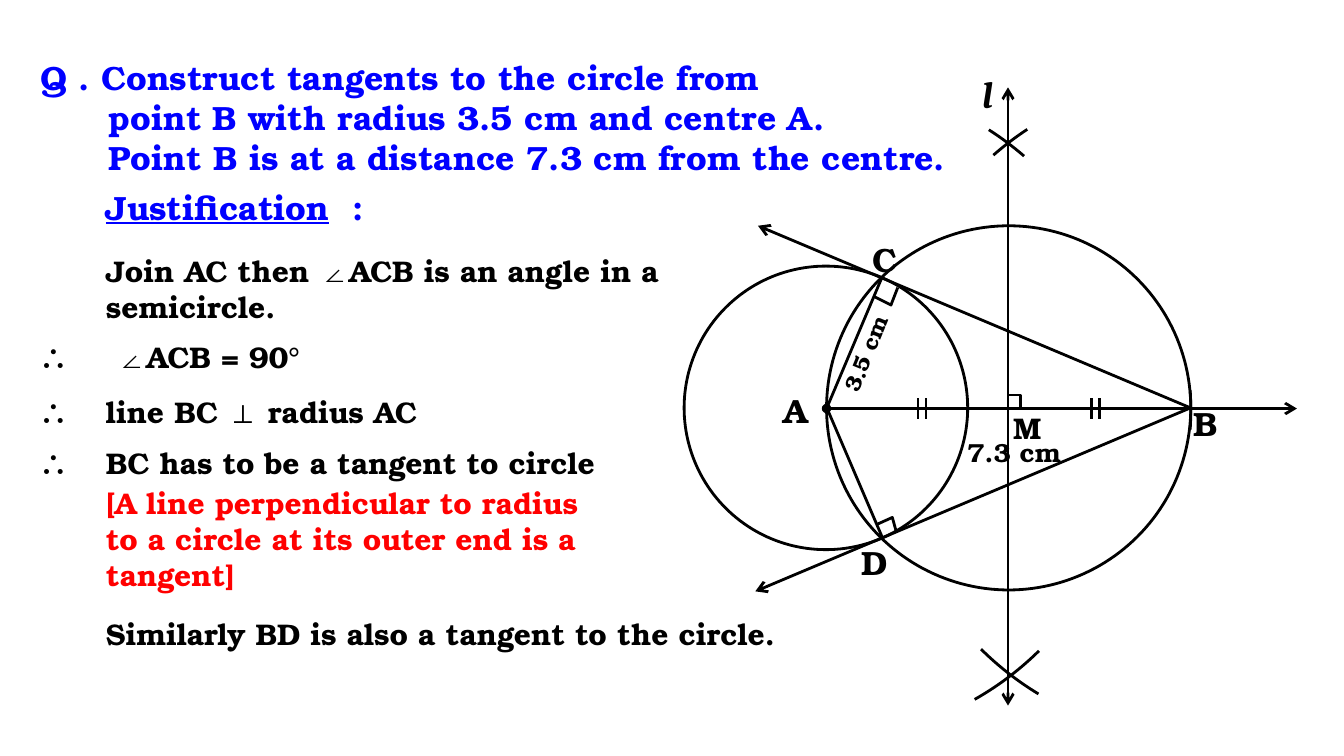
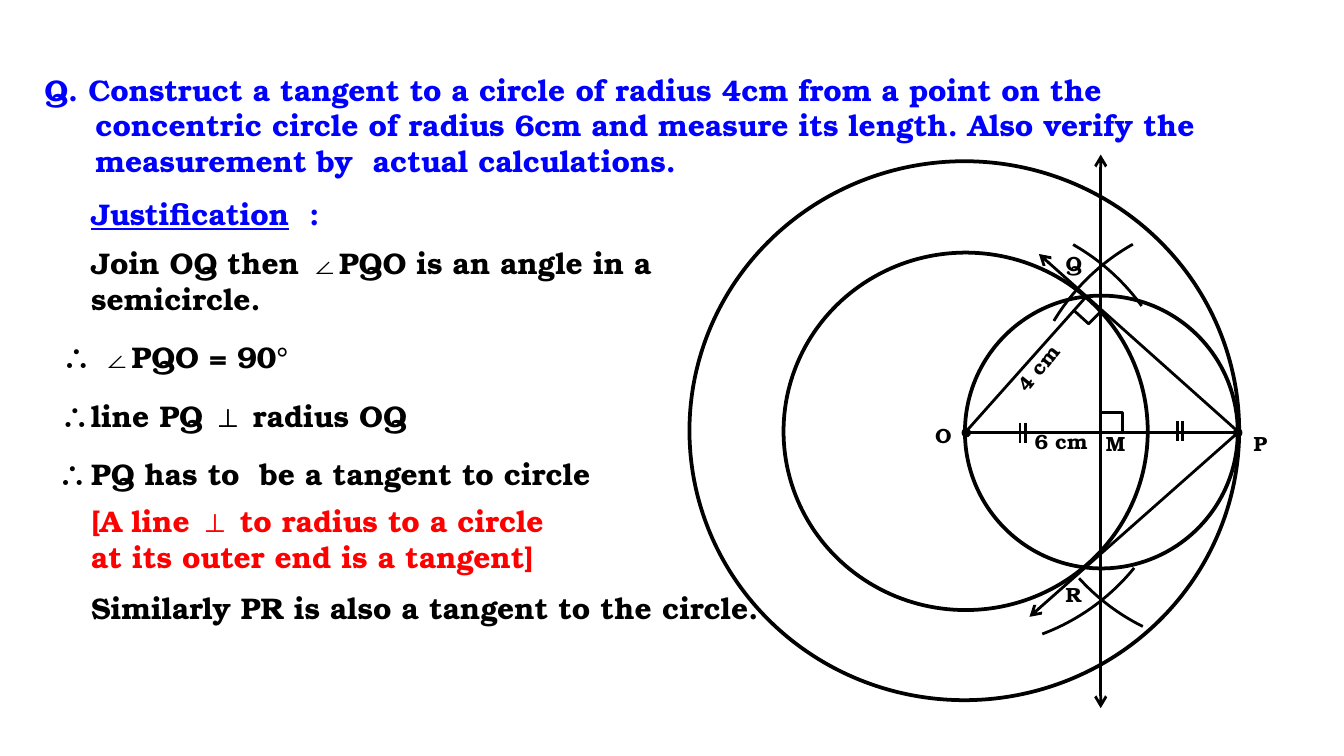
from dataclasses import dataclass

from lxml import etree
from pptx import Presentation
from pptx.dml.color import RGBColor
from pptx.enum.shapes import MSO_CONNECTOR, MSO_SHAPE
from pptx.enum.text import MSO_ANCHOR, MSO_AUTO_SIZE, PP_ALIGN
from pptx.oxml.ns import qn
from pptx.util import Inches, Pt


@dataclass(frozen=True)
class Theme:
    black: RGBColor = RGBColor(0x00, 0x00, 0x00)
    blue: RGBColor = RGBColor(0x00, 0x00, 0xFF)
    red: RGBColor = RGBColor(0xFF, 0x00, 0x00)
    font: str = "TeX Gyre Bonum"
    math_font: str = "Cambria"
    statement_size: int = 16
    line_width: float = 1.5
    dot_line_width: float = 0.75
    dot_size: float = 0.06
    tick_length: float = 0.15


THEME = Theme()

# Statements: marker left (or None), top, width, indent, colour, number of lines, paragraphs
# Labels: left, top, width, size, rotation, text
# Lines: start, end, arrow at start, arrow at end
# Arcs: centre, radius, first and last angle in degrees, clockwise from the right
TWO_TANGENTS = {
    "question": {
        "at": (0.2, 0.37, 7.09), "size": 18, "indent": 0.51,
        "lines": ["Q . Construct tangents to the circle from",
                  "point B with radius 3.5 cm and centre A.",
                  "Point B is at a distance 7.3 cm from the centre."],
    },
    "heading": {"at": (0.69, 1.34, 2.42), "size": 18},
    "statement_left": 0.69,
    "statements": [
        (None, 1.83, 4.84, 0, THEME.black, 2,
         ["Join AC then ∠ACB is an angle in a", "semicircle."]),
        (0.19, 2.47, 2.04, 0.08, THEME.black, 1, ["∠ACB = 90°"]),
        (0.19, 2.88, 3.07, 0, THEME.black, 1, ["line BC ⊥ radius AC"]),
        (0.19, 3.26, 4.3, 0, THEME.black, 1, ["BC has to be a tangent to circle"]),
        (None, 3.56, 3.75, 0, THEME.red, 3,
         ["[A line perpendicular to radius to a circle at its outer end is a tangent]"]),
        (None, 4.53, 5.64, 0, THEME.black, 1,
         ["Similarly BD is also a tangent to the circle."]),
    ],
    "circles": [(5.09, 1.98, 2.11, 2.11), (6.15, 1.68, 2.71, 2.71)],
    "circle_width": 1.5,
    "dots": [(6.15, 3.04)],
    "lines": [
        ((9.65, 3.04), (6.15, 3.04), True, False),
        ((8.87, 3.04), (5.64, 1.68), False, True),
        ((8.87, 3.03), (5.62, 4.4), False, True),
        ((6.15, 3.04), (6.56, 2.07), False, False),
        ((6.15, 3.03), (6.57, 4.01), False, False),
        ((7.5, 0.65), (7.5, 5.25), True, True),
    ],
    "ticks": [(6.83, 3.04), (6.89, 3.04), (8.12, 3.04), (8.18, 3.04)],
    "arcs": [
        ((6.14, 2.87), 2.26, 302.6, 310.9),
        ((8.89, 2.86), 2.27, 228.7, 236.7),
        ((6.13, 3.22), 2.28, 45.4, 60.5),
        ((8.9, 3.22), 2.27, 121.1, 134.8),
        ((6.6, 3.05), 2.26, 356.3, 3.7),
    ],
    "corners": [
        [(7.5, 2.94), (7.59, 2.94), (7.59, 3.04)],
        [(6.51, 2.21), (6.63, 2.27), (6.68, 2.14)],
        [(6.53, 3.9), (6.64, 3.85), (6.67, 3.96)],
    ],
    "labels": [
        (5.73, 2.85, 0.45, 18, 0, "A"),
        (8.78, 2.95, 0.45, 18, 0, "B"),
        (6.39, 1.73, 0.45, 18, 0, "C"),
        (6.31, 3.98, 0.45, 18, 0, "D"),
        (7.44, 3.0, 0.45, 16, 0, "M"),
        (6.01, 2.43, 0.9, 12, 292.3, "3.5 cm"),
        (7.1, 3.2, 0.9, 14, 0, "7.3 cm"),
    ],
    "line_name": (7.21, 0.48, 0.32, 20, "l"),
}

CONCENTRIC_CIRCLES = {
    "question": {
        "at": (0.23, 0.48, 9.11), "size": 16, "indent": 0.38,
        "lines": ["Q. Construct a tangent to a circle of radius 4cm from a point on the",
                  "concentric circle of radius 6cm and measure its length. Also verify the",
                  "measurement by  actual calculations."],
    },
    "heading": {"at": (0.58, 1.41, 2.0), "size": 16},
    "statement_left": 0.58,
    "statements": [
        (None, 1.77, 4.55, 0, THEME.black, 2,
         ["Join OQ then ∠PQO is an angle in a", "semicircle."]),
        (0.36, 2.47, 2.09, 0.08, THEME.black, 1, ["∠PQO = 90°"]),
        (0.35, 2.91, 2.57, 0, THEME.black, 1, ["line PQ ⊥ radius OQ"]),
        (0.33, 3.34, 4.02, 0, THEME.black, 1, ["PQ has to  be a tangent to circle"]),
        (None, 3.69, 3.94, 0, THEME.red, 2,
         ["[A line ⊥ to radius to a circle", "at its outer end is a tangent]"]),
        (None, 4.34, 5.46, 0, THEME.black, 1,
         ["Similarly PR is also a tangent to the circle."]),
    ],
    "circles": [(5.13, 1.2, 4.09, 4.01), (5.83, 1.88, 2.71, 2.66), (7.18, 2.2, 2.03, 2.03)],
    "circle_width": 2,
    "dots": [(7.19, 3.22), (9.21, 3.22)],
    "lines": [
        ((9.22, 3.22), (7.19, 3.22), False, False),
        ((8.19, 1.15), (8.19, 5.27), True, True),
        ((9.21, 3.21), (7.73, 1.89), False, True),
        ((9.21, 3.22), (7.66, 4.59), False, True),
        ((8.08, 2.21), (7.18, 3.22), False, False),
    ],
    "ticks": [(7.59, 3.22), (7.63, 3.22), (8.76, 3.21), (8.8, 3.21)],
    "arcs": [
        ((7.19, 3.21), 1.61, 39.14, 69.44),
        ((7.19, 3.22), 1.61, 299.59, 324.13),
        ((9.22, 3.22), 1.61, 211.11, 240.58),
        ((9.22, 3.22), 1.61, 116.43, 137.7),
    ],
    "corners": [
        [(8.2, 3.07), (8.35, 3.07), (8.35, 3.21)],
        [(8.2, 2.31), (8.1, 2.41), (7.99, 2.31)],
    ],
    "labels": [
        (6.86, 3.1, 0.34, 11, 0, "O"),
        (9.23, 3.16, 0.34, 11, 0, "P"),
        (7.83, 1.82, 0.34, 11, 0, "Q"),
        (7.83, 4.28, 0.34, 11, 0, "R"),
        (8.13, 3.16, 0.34, 11, 0, "M"),
        (7.6, 3.14, 0.81, 11, 0, "6 cm"),
        (7.39, 2.51, 0.81, 11, 309, "4 cm"),
    ],
    "line_name": None,
}


def text_height(size, line_count):
    return 0.1 + line_count * size / 60


def style_font(font, size, color, name=THEME.font):
    font.name = name
    font.size = Pt(size)
    font.bold = True
    font.color.rgb = color


def fill_paragraphs(box, lines, size, color, indents):
    frame = box.text_frame
    frame.word_wrap = True
    frame.text = "\n".join(lines)
    for para, indent in zip(frame.paragraphs, indents):
        para.alignment = PP_ALIGN.LEFT
        properties = para._p.get_or_add_pPr()
        properties.set("marL", str(Inches(indent)))
        properties.set("indent", "0")
        for span in para.runs:
            style_font(span.font, size, color)


def add_text(page, left, top, width, size, lines, color=THEME.black, indent=0, line_count=1):
    height = text_height(size, line_count)
    box = page.shapes.add_textbox(Inches(left), Inches(top), Inches(width), Inches(height))
    box.text_frame.auto_size = MSO_AUTO_SIZE.SHAPE_TO_FIT_TEXT
    fill_paragraphs(box, lines, size, color, [indent] * len(lines))
    return box


def add_question(page, question):
    left, top, width = question["at"]
    lines, size = question["lines"], question["size"]
    title = page.shapes.title
    title.left, title.top, title.width = Inches(left), Inches(top), Inches(width)
    title.height = Inches(text_height(size, len(lines)))
    title.text_frame.vertical_anchor = MSO_ANCHOR.TOP
    title.text_frame.auto_size = MSO_AUTO_SIZE.NONE
    indents = [0] + [question["indent"]] * (len(lines) - 1)
    fill_paragraphs(title, lines, size, THEME.blue, indents)


def add_heading(page, heading):
    """Add the underlined heading with its plain colon."""
    size = heading["size"]
    box = add_text(page, *heading["at"], size, ["Justification"], THEME.blue)
    para = box.text_frame.paragraphs[0]
    para.runs[0].font.underline = True
    colon = para.add_run()
    colon.text = "  :"
    style_font(colon.font, size, THEME.blue)


def add_statements(page, left, statements):
    size = THEME.statement_size
    for marker_left, top, width, indent, color, line_count, lines in statements:
        if marker_left is not None:
            add_text(page, marker_left, top, 0.74, size, ["∴"])
        add_text(page, left, top, width, size, lines, color, indent, line_count)


def style_outline(shape, width):
    shape.shadow.inherit = False
    shape.fill.background()
    shape.line.color.rgb = THEME.black
    shape.line.width = Pt(width)


def add_outline(page, kind, left, top, width, height, line_width):
    shape = page.shapes.add_shape(kind, Inches(left), Inches(top), Inches(width), Inches(height))
    style_outline(shape, line_width)
    return shape


def add_dot(page, x, y):
    size = THEME.dot_size
    dot = add_outline(page, MSO_SHAPE.OVAL, x - size / 2, y - size / 2, size, size,
                      THEME.dot_line_width)
    dot.fill.solid()
    dot.fill.fore_color.rgb = THEME.black


def add_arc(page, centre, radius, first, last):
    x, y = centre
    arc = add_outline(page, MSO_SHAPE.ARC, x - radius, y - radius, 2 * radius, 2 * radius,
                      THEME.line_width)
    # The file counts 60000 units to a degree, an adjustment counts 100000 to one.
    arc.adjustments[0], arc.adjustments[1] = first * 0.6, last * 0.6


def add_line(page, start, end, start_arrow=False, end_arrow=False):
    points = [Inches(value) for value in (*start, *end)]
    line = page.shapes.add_connector(MSO_CONNECTOR.STRAIGHT, *points)
    line.line.color.rgb = THEME.black
    line.line.width = Pt(THEME.line_width)
    outline = line.line._get_or_add_ln()
    for tag, wanted in (("a:headEnd", start_arrow), ("a:tailEnd", end_arrow)):
        if wanted:
            etree.SubElement(outline, qn(tag), type="arrow")
    etree.SubElement(line._element.spPr, qn("a:effectLst"))


def add_corner(page, points):
    """Draw the small open mark of a right angle."""
    start, *others = [(Inches(x), Inches(y)) for x, y in points]
    builder = page.shapes.build_freeform(*start)
    builder.add_line_segments(others, close=False)
    style_outline(builder.convert_to_shape(), THEME.line_width)


def add_diagram(page, content):
    for circle in content["circles"]:
        add_outline(page, MSO_SHAPE.OVAL, *circle, content["circle_width"])
    for dot in content["dots"]:
        add_dot(page, *dot)
    for line in content["lines"]:
        add_line(page, *line)
    half_tick = THEME.tick_length / 2
    for x, y in content["ticks"]:
        add_line(page, (x, y - half_tick), (x, y + half_tick))
    for arc in content["arcs"]:
        add_arc(page, *arc)
    for corner in content["corners"]:
        add_corner(page, corner)
    for left, top, width, size, rotation, text in content["labels"]:
        add_text(page, left, top, width, size, [text]).rotation = rotation
    if content["line_name"]:
        left, top, width, size, text = content["line_name"]
        box = add_text(page, left, top, width, size, [text])
        font = box.text_frame.paragraphs[0].runs[0].font
        font.name, font.italic = THEME.math_font, True


def main():
    deck = Presentation()
    deck.slide_width, deck.slide_height = Inches(10), Inches(10 * 9 / 16)
    title_only = deck.slide_layouts.get_by_name("Title Only")
    for content in (TWO_TANGENTS, CONCENTRIC_CIRCLES):
        page = deck.slides.add_slide(title_only)
        add_question(page, content["question"])
        add_heading(page, content["heading"])
        add_statements(page, content["statement_left"], content["statements"])
        add_diagram(page, content)
    deck.save("out.pptx")


if __name__ == "__main__":
    main()
